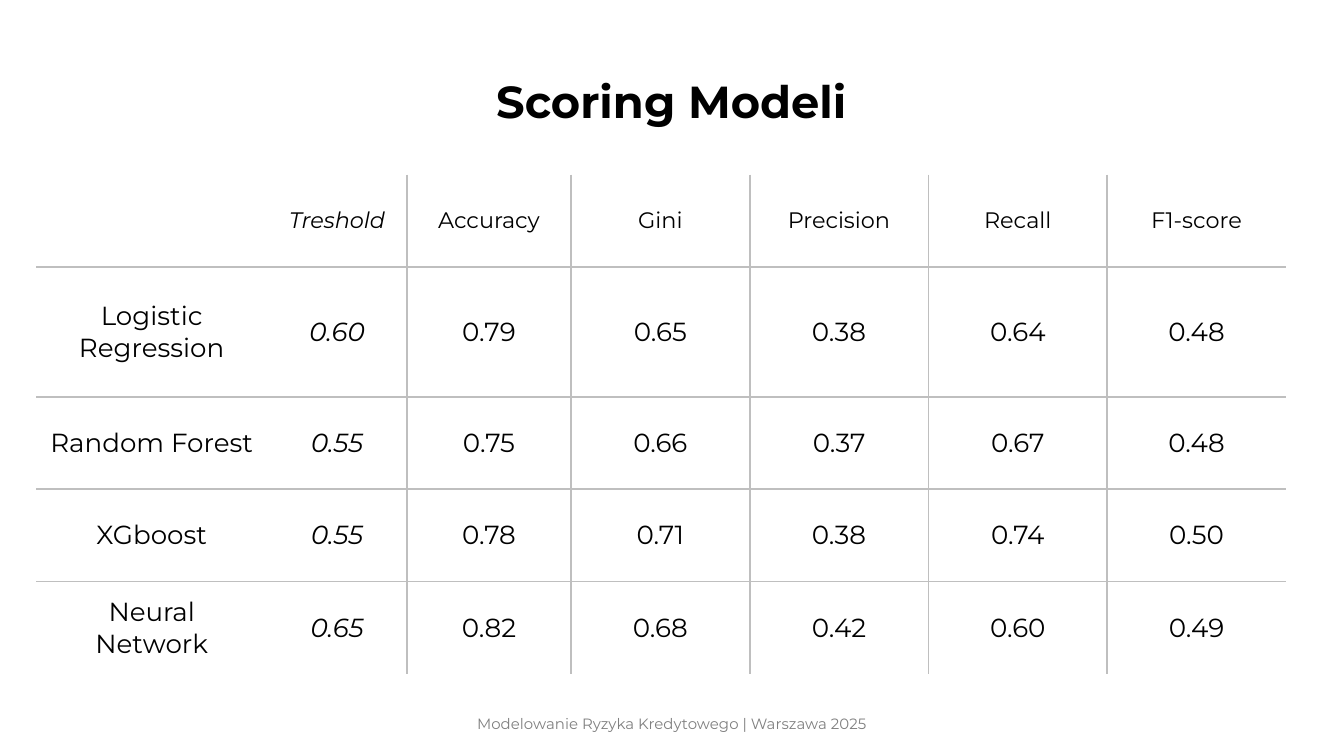
from lxml import etree
from pptx import Presentation
from pptx.dml.color import RGBColor
from pptx.enum import text
from pptx.oxml import ns
from pptx.util import Pt

COLORS = {"ink": "000000", "rule": "BFBFBF", "footer": "808080"}
FONT = "Montserrat"

HEADERS = ["", "Treshold", "Accuracy", "Gini", "Precision", "Recall", "F1-score"]
SCORES = [
    ["Logistic Regression", "0.60", "0.79", "0.65", "0.38", "0.64", "0.48"],
    ["Random Forest", "0.55", "0.75", "0.66", "0.37", "0.67", "0.48"],
    ["XGboost", "0.55", "0.78", "0.71", "0.38", "0.74", "0.50"],
    ["Neural Network", "0.65", "0.82", "0.68", "0.42", "0.60", "0.49"],
]
COLUMN_WIDTHS = [123.84, 74.88, 87.84] + [95.76] * 4
ROW_HEIGHTS = [49.5, 69.6] + [49.5] * 3
THRESHOLD_COLUMN = 1


def write(frame, wording, size, color="ink", bold=False, italic=False):
    """Put one centred run into the first paragraph of a text frame."""
    paragraph = frame.paragraphs[0]
    paragraph.alignment = text.PP_ALIGN.CENTER
    run = paragraph.add_run()
    run.text = wording
    run.font.name = FONT
    run.font.size = Pt(size)
    run.font.bold = bold
    run.font.italic = italic
    run.font.color.rgb = RGBColor.from_string(COLORS[color])


def set_frame(frame, anchor):
    frame.word_wrap = True
    frame.auto_size = text.MSO_AUTO_SIZE.NONE
    frame.vertical_anchor = anchor
    frame.margin_left = frame.margin_right = Pt(7.2)
    frame.margin_top = frame.margin_bottom = Pt(7.2)


def add_title(slide, left, top, width, height):
    title = slide.shapes.title
    title.left, title.top = Pt(left), Pt(top)
    title.width, title.height = Pt(width), Pt(height)
    set_frame(title.text_frame, text.MSO_ANCHOR.TOP)
    write(title.text_frame, "Scoring Modeli", 24, bold=True)


def set_borders(cell, visible):
    """Rule the visible sides of a cell and clear the others."""
    properties = cell._tc.get_or_add_tcPr()
    for position, side in enumerate("LRTB"):
        line = etree.Element(ns.qn(f"a:ln{side}"), w=str(Pt(1)))
        if side in visible:
            fill = etree.SubElement(line, ns.qn("a:solidFill"))
            etree.SubElement(fill, ns.qn("a:srgbClr"), val=COLORS["rule"])
        else:
            etree.SubElement(line, ns.qn("a:noFill"))
        properties.insert(position, line)


def inner_sides(row, column):
    """Sides inside the grid; model names and thresholds share no rule."""
    sides = ""
    if column > THRESHOLD_COLUMN:
        sides += "L"
    if THRESHOLD_COLUMN <= column < len(HEADERS) - 1:
        sides += "R"
    if row > 0:
        sides += "T"
    if row < len(SCORES):
        sides += "B"
    return sides


def add_score_table(slide, left, top):
    rows = [HEADERS] + SCORES
    table = slide.shapes.add_table(
        len(rows), len(HEADERS), Pt(left), Pt(top),
        Pt(sum(COLUMN_WIDTHS)), Pt(sum(ROW_HEIGHTS))).table
    table.first_row = table.horz_banding = False
    for column, width in zip(table.columns, COLUMN_WIDTHS):
        column.width = Pt(width)
    for row, height in zip(table.rows, ROW_HEIGHTS):
        row.height = Pt(height)
    for r, values in enumerate(rows):
        for c, value in enumerate(values):
            cell = table.cell(r, c)
            cell.vertical_anchor = text.MSO_ANCHOR.MIDDLE
            cell.margin_left = cell.margin_right = Pt(7)
            cell.fill.background()
            set_borders(cell, inner_sides(r, c))
            if value:
                write(cell.text_frame, value, 14 if r else 12,
                      italic=c == THRESHOLD_COLUMN)


def add_footer(slide, left, top, width, height):
    footer = slide.shapes.add_textbox(Pt(left), Pt(top), Pt(width), Pt(height))
    set_frame(footer.text_frame, text.MSO_ANCHOR.MIDDLE)
    write(footer.text_frame, "Modelowanie Ryzyka Kredytowego | Warszawa 2025",
          8, "footer")


def main():
    deck = Presentation()
    deck.slide_width, deck.slide_height = Pt(720), Pt(405)
    slide = deck.slides.add_slide(deck.slide_layouts[5])
    add_title(slide, 35.3, 32.4, 648.7, 43.9)
    add_score_table(slide, 19.4, 93.5)
    add_footer(slide, 241.9, 380.9, 236.2, 13)
    deck.save("out.pptx")


if __name__ == "__main__":
    main()
